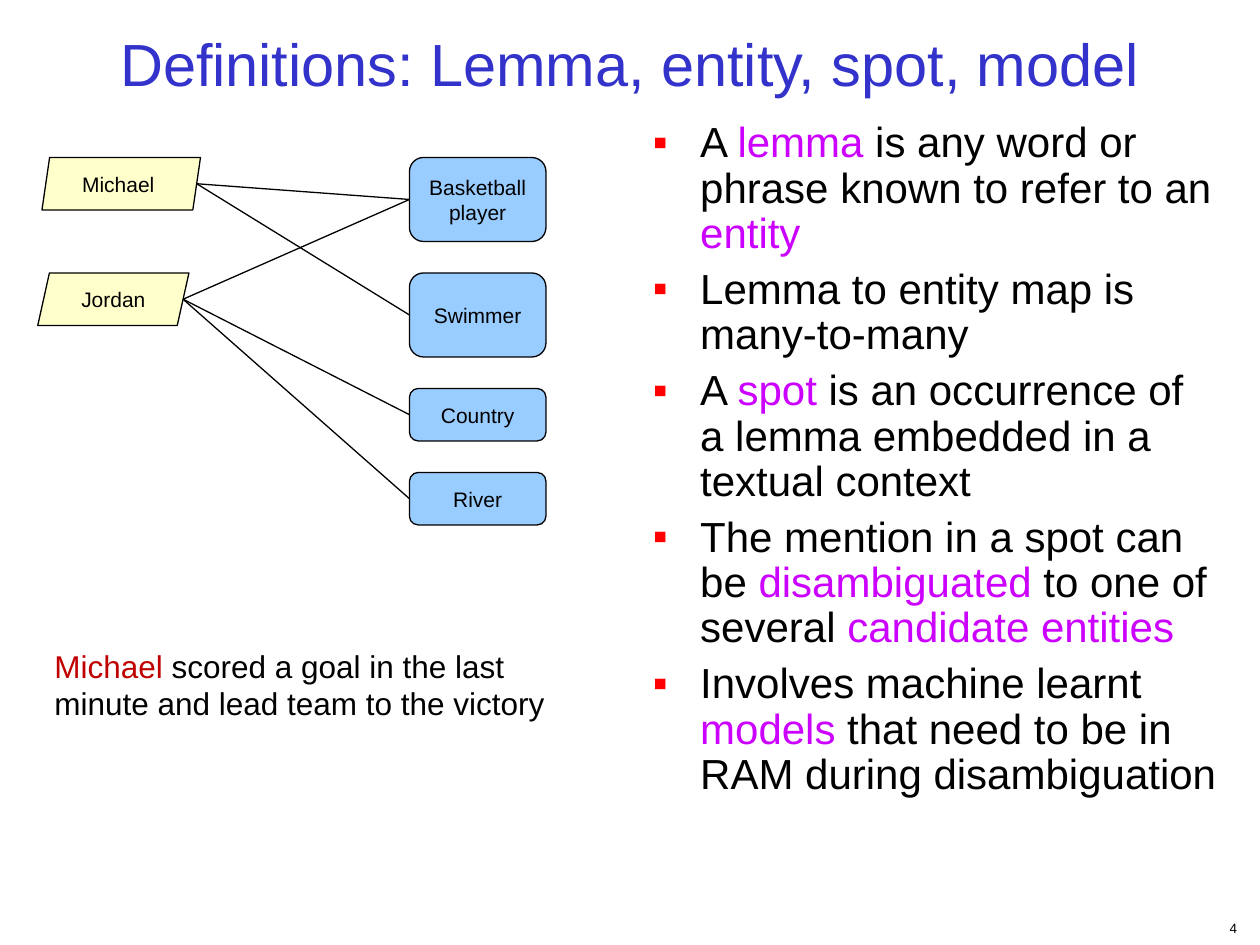
from lxml.etree import SubElement
from pptx import Presentation
from pptx.dml.color import RGBColor
from pptx.enum.shapes import MSO_CONNECTOR as Connector, MSO_SHAPE as Shape
from pptx.enum.text import MSO_ANCHOR as Anchor, MSO_AUTO_SIZE as AutoSize, PP_ALIGN as Align
from pptx.oxml.ns import qn
from pptx.util import Emu, Pt

SCALE = 7620  # EMU per px, 120 px to the inch
FONT = "Arial"
BLACK, BLUE, RED = "000000", "3333CC", "FF0000"
MAGENTA, DARK_RED = "CC00FF", "C00000"
LEMMA_FILL, ENTITY_FILL = "FFFFCC", "99CCFF"

# name, left, top, width, slant
LEMMAS = [("Michael ", 0, 0, 151, 0.146), ("Jordan", -4, 110, 144, 0.223)]
# name, top, height
ENTITIES = [("Basketball player", 0, 80), ("Swimmer", 110, 80),
            ("Country", 220, 50), ("River", 300, 50)]
LINKS = [(0, 0), (0, 1), (1, 0), (1, 2), (1, 3)]  # lemma, entity

# Each bullet is a list of runs: text, colour
BULLETS = [
    [("A ", BLACK), ("lemma", MAGENTA),
     (" is any word or phrase known to refer to an ", BLACK), ("entity", MAGENTA)],
    [("Lemma to entity map is many-to-many", BLACK)],
    [("A ", BLACK), ("spot", MAGENTA),
     (" is an occurrence of a lemma embedded in a textual context", BLACK)],
    [("The mention in a spot can be ", BLACK), ("disambiguated", MAGENTA),
     (" to one of several ", BLACK), ("candidate entities", MAGENTA)],
    [("Involves machine learnt ", BLACK), ("models", MAGENTA),
     (" that need to be in RAM during disambiguation", BLACK)],
]
EXAMPLE = [("Michael", DARK_RED),
           (" scored a goal in the last minute and lead team to the victory", BLACK)]


def px(value):
    return Emu(round(value * SCALE))


def box_px(*lengths):
    return [px(length) for length in lengths]


def color(hex_string):
    return RGBColor.from_string(hex_string)


def add_runs(paragraph, runs, size):
    for text, run_color in runs:
        run = paragraph.add_run()
        run.text = text
        run.font.name = FONT
        run.font.size = Pt(size)
        run.font.color.rgb = color(run_color)


def add_text(slide, box, runs, size, align=Align.LEFT):
    shape = slide.shapes.add_textbox(*box_px(*box))
    frame = shape.text_frame
    frame.word_wrap = True
    frame.paragraphs[0].alignment = align
    add_runs(frame.paragraphs[0], runs, size)
    return shape


def add_title(slide, box, text):
    title = slide.shapes.title
    title.left, title.top, title.width, title.height = box_px(*box)
    frame = title.text_frame
    frame.vertical_anchor = Anchor.MIDDLE
    frame.paragraphs[0].alignment = Align.CENTER
    add_runs(frame.paragraphs[0], [(text, BLUE)], 34)


def add_node(slide, kind, box, text, fill, adjustment):
    shape = slide.shapes.add_shape(kind, *box_px(*box))
    shape.adjustments[0] = adjustment
    shape.shadow.inherit = False
    shape.fill.solid()
    shape.fill.fore_color.rgb = color(fill)
    shape.line.color.rgb = color(BLACK)
    shape.line.width = Pt(0.75)
    frame = shape.text_frame
    frame.word_wrap = True
    frame.vertical_anchor = Anchor.MIDDLE
    frame.paragraphs[0].alignment = Align.CENTER
    add_runs(frame.paragraphs[0], [(text, BLACK)], 12)
    return shape


def add_link(slide, start, entity):
    line = slide.shapes.add_connector(Connector.STRAIGHT, *start, *start)
    line.end_connect(entity, 1)
    line.line.color.rgb = color(BLACK)
    line.line.width = Pt(0.75)
    SubElement(line._element.spPr, qn("a:effectLst"))


def add_lemma_map(slide, left, top, width):
    entity_width, lemma_height = 130, 50

    # Entities on the right
    entities = [
        add_node(slide, Shape.ROUNDED_RECTANGLE,
                 (left + width - entity_width, top + y, entity_width, height),
                 name, ENTITY_FILL, 0.167)
        for name, y, height in ENTITIES]

    # Lemmas on the left; links leave the middle of the slanted right side
    starts = []
    for name, x, y, lemma_width, slant in LEMMAS:
        add_node(slide, Shape.PARALLELOGRAM,
                 (left + x, top + y, lemma_width, lemma_height),
                 name, LEMMA_FILL, slant)
        starts.append(box_px(left + x + lemma_width - slant * lemma_height / 2,
                             top + y + lemma_height / 2))

    for lemma, entity in LINKS:
        add_link(slide, starts[lemma], entities[entity])


def add_bullets(slide, box, bullets):
    frame = slide.shapes.add_textbox(*box_px(*box)).text_frame
    frame.word_wrap = True
    for index, runs in enumerate(bullets):
        paragraph = frame.add_paragraph() if index else frame.paragraphs[0]
        properties = paragraph._p.get_or_add_pPr()
        properties.set("marL", str(px(45)))
        properties.set("indent", str(-px(45)))
        bullet_color = SubElement(properties, qn("a:buClr"))
        SubElement(bullet_color, qn("a:srgbClr"), val=RED)
        SubElement(properties, qn("a:buFont"), typeface=FONT)
        SubElement(properties, qn("a:buChar"), char="▪")
        paragraph.line_spacing = 0.9
        paragraph.space_before = Pt(6 if index else 0)
        add_runs(paragraph, runs, 24)


def main():
    presentation = Presentation()
    presentation.slide_width, presentation.slide_height = box_px(1200, 900)
    slide = presentation.slides.add_slide(presentation.slide_layouts[5])

    add_title(slide, (30, 20, 1140, 80), "Definitions: Lemma, entity, spot, model")
    add_lemma_map(slide, 40, 150, 480)
    add_bullets(slide, (610, 110, 560, 750), BULLETS)

    # Example sentence and page number
    example = add_text(slide, (40, 610, 530, 84), EXAMPLE, 18)
    example.text_frame.auto_size = AutoSize.SHAPE_TO_FIT_TEXT
    add_text(slide, (940, 870, 250, 30), [("4", BLACK)], 7.7, Align.RIGHT)

    presentation.save("out.pptx")


if __name__ == "__main__":
    main()
